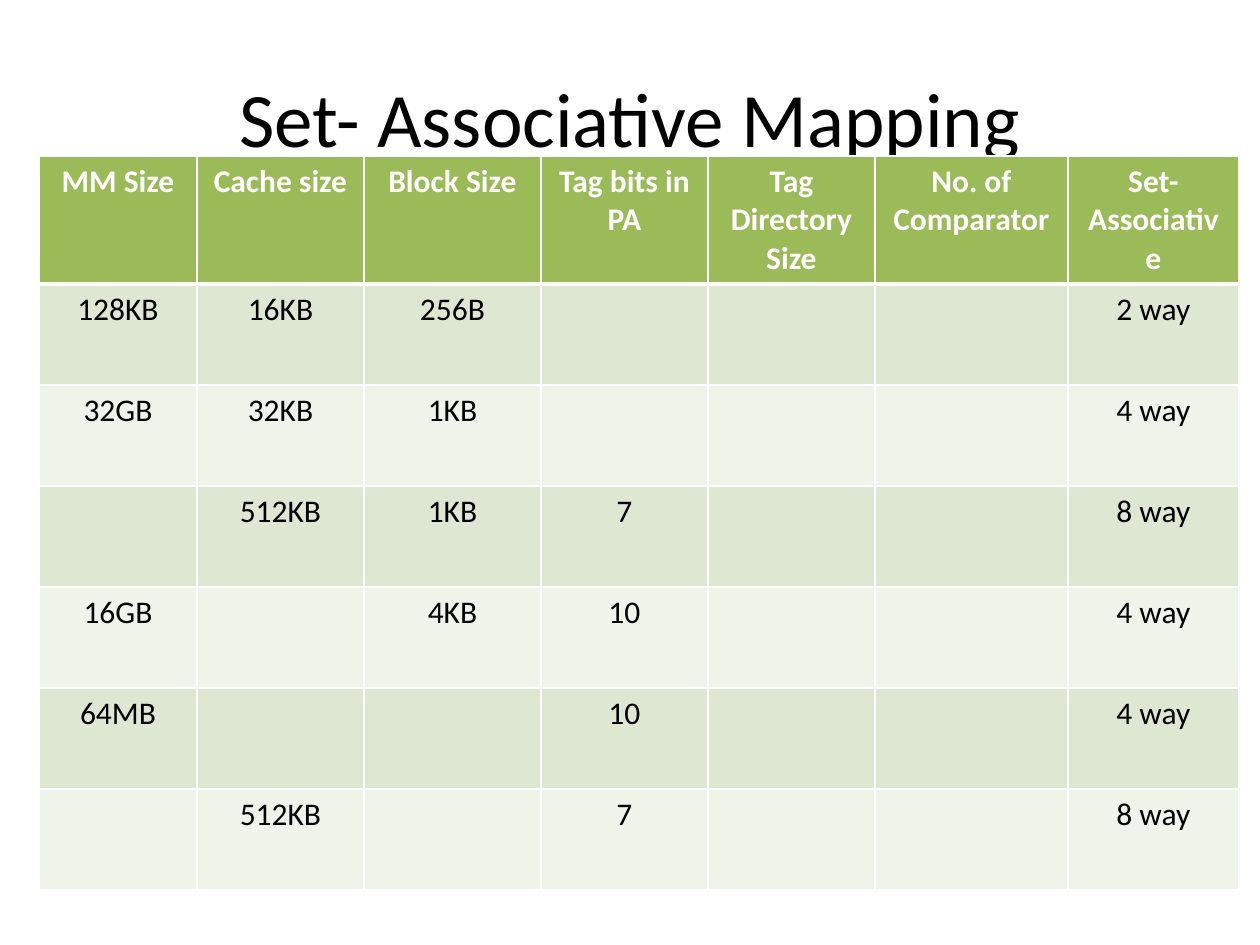
from lxml import etree
from pptx import Presentation
from pptx import util as u
from pptx.dml import color
from pptx.enum import text
from pptx.oxml import ns

SCALE = 914400 / 126
COLORS = {"black": "000000", "white": "FFFFFF", "header": "9BBB59",
          "odd": "DEE7D1", "even": "EFF3EA"}
COLUMN_WIDTHS = [158, 167, 177, 167, 167, 193, 171]
HEADER_HEIGHT, ROW_HEIGHT = 125, 101
ROWS = [
    ["MM Size", "Cache size", "Block Size", "Tag bits in PA",
     "Tag Directory Size", "No. of Comparator", "Set- Associative"],
    ["128KB", "16KB", "256B", "", "", "", "2 way"],
    ["32GB", "32KB", "1KB", "", "", "", "4 way"],
    ["", "512KB", "1KB", "7", "", "", "8 way"],
    ["16GB", "", "4KB", "10", "", "", "4 way"],
    ["64MB", "", "", "10", "", "", "4 way"],
    ["", "512KB", "", "7", "", "", "8 way"],
]


def px(length):
    return u.Emu(round(length * SCALE))


def rgb(name):
    return color.RGBColor.from_string(COLORS[name])


class SlideBuilder:
    """Holds the text style and the slide being built."""

    def __init__(self, slide, font_name="Calibri"):
        self.slide = slide
        self.font_name = font_name

    def format(self, paragraph, size, color_name, bold=False):
        paragraph.alignment = text.PP_ALIGN.CENTER
        values = {"name": self.font_name, "size": u.Pt(size), "bold": bold}
        for name, value in values.items():
            setattr(paragraph.font, name, value)
        paragraph.font.color.rgb = rgb(color_name)

    def title(self, words, left, top, width, height):
        shape = self.slide.shapes.title
        box = {"left": left, "top": top, "width": width, "height": height}
        for name, value in box.items():
            setattr(shape, name, px(value))
        shape.text_frame.text = words
        shape.text_frame.vertical_anchor = text.MSO_ANCHOR.MIDDLE
        self.format(shape.text_frame.paragraphs[0], 44, "black")

    def border(self, cell, side, points):
        properties = cell._tc.get_or_add_tcPr()
        line = etree.SubElement(properties, ns.qn(f"a:ln{side}"), w=str(u.Pt(points)))
        fill = etree.SubElement(line, ns.qn("a:solidFill"))
        etree.SubElement(fill, ns.qn("a:srgbClr"), val=COLORS["white"])

    def cell(self, cell, words, row):
        header = row == 0
        widths = {"L": 1, "R": 1, "T": 3 if row == 1 else 1, "B": 3 if header else 1}
        for side, points in widths.items():
            self.border(cell, side, points)
        cell.fill.solid()
        cell.fill.fore_color.rgb = rgb("header" if header else ("even", "odd")[row % 2])
        cell.text = words
        self.format(cell.text_frame.paragraphs[0], 18,
                    "white" if header else "black", header)

    def table(self, rows, left, top, widths, heights):
        table = self.slide.shapes.add_table(
            len(rows), len(widths), px(left), px(top),
            px(sum(widths)), px(sum(heights))).table
        for column, width in zip(table.columns, widths):
            column.width = px(width)
        for index, (row, height) in enumerate(zip(table.rows, heights)):
            row.height = px(height)
            for cell, words in zip(row.cells, rows[index]):
                self.cell(cell, words, index)


def main():
    presentation = Presentation()
    presentation.slide_width, presentation.slide_height = px(1260), px(945)
    slide = presentation.slides.add_slide(presentation.slide_layouts[5])
    builder = SlideBuilder(slide)
    builder.title("Set- Associative Mapping", 63, 38, 1134, 157)
    heights = [HEADER_HEIGHT] + [ROW_HEIGHT] * (len(ROWS) - 1)
    builder.table(ROWS, 39, 156, COLUMN_WIDTHS, heights)
    presentation.save("out.pptx")


if __name__ == "__main__":
    main()
